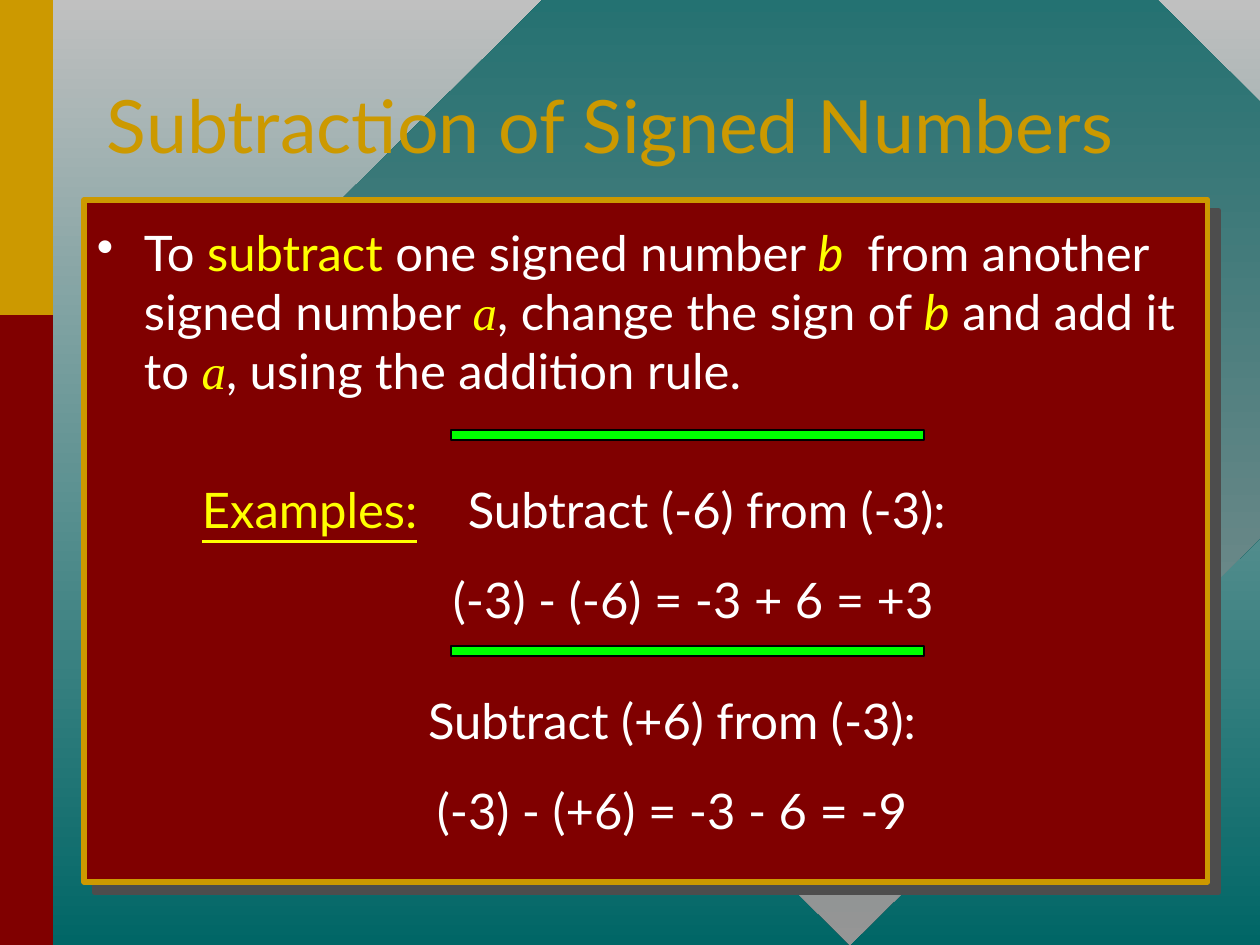
from lxml import etree
from pptx import Presentation
from pptx import util as u
from pptx.dml.color import RGBColor
from pptx.enum import shapes, text
from pptx.oxml.ns import qn

SCALE = 914400 / 126
SIZE = (1260, 945)

COLORS = {
    "silver": "C0C0C0", "teal": "006666", "gray": "969696", "maroon": "800000",
    "gold": "CC9900", "shadow": "4D4D4D", "white": "FFFFFF", "yellow": "FFFF00",
    "green": "00FF00", "black": "000000",
}
STYLES = {
    "title": {"name": "Lato", "size": u.Pt(42), "color": "gold"},
    "body": {"name": "Lato", "size": u.Pt(28), "color": "white"},
    "key": {"name": "Lato", "size": u.Pt(28), "color": "yellow"},
    "label": {"name": "Lato", "size": u.Pt(28), "color": "yellow", "underline": True},
    "var": {"name": "Lato", "size": u.Pt(28), "color": "yellow", "italic": True},
    "serif": {"name": "Times New Roman", "size": u.Pt(28), "color": "yellow", "italic": True},
}

DIAMOND = (220, -305, 1260, 1250)
SIDEBARS = [((0, 0, 53, 945), "maroon"), ((0, 0, 53, 315), "gold")]
PANEL = (84, 200, 1124, 682)
DIVIDERS = [(451, top, 473, 10) for top in (430, 646)]

TITLE = {
    "at": (94, 53, 1082, 157), "inset": (13, 6), "anchor": text.MSO_ANCHOR.MIDDLE,
    "paras": [{"spans": [("Subtraction of Signed Numbers", "title")],
               "format": {"line_spacing": 0.85}}],
}
BODY = [
    {"at": (84, 210, 1113, 202), "paras": [{
        "bullet": "•", "left": 47, "first": -47,
        "spans": [
            ("To ", "body"), ("subtract", "key"), (" one signed number ", "body"),
            ("b ", "var"), (" from another signed number ", "body"), ("a", "serif"),
            (", change the sign of ", "body"), ("b", "var"), (" and add it to ", "body"),
            ("a", "serif"), (", using the addition rule.", "body"),
        ]}]},
    {"at": (189, 467, 882, 174), "paras": [
        {"tab": 266, "spans": [("Examples:", "label"), ("\t", "body"),
                               ("Subtract (-6) from (-3):", "body")]},
        {"left": 251, "spans": [("(-3) - (-6) = -3 + 6 = +3", "body")],
         "format": {"space_before": u.Pt(17.5)}},
    ]},
    {"at": (357, 678, 630, 174), "paras": [
        {"spans": [("Subtract (+6) from (-3):", "body")],
         "format": {"alignment": text.PP_ALIGN.CENTER}},
        {"spans": [("(-3) - (+6) = -3 - 6 = -9", "body")],
         "format": {"alignment": text.PP_ALIGN.CENTER, "space_before": u.Pt(17.5)}},
    ]},
]


def px(value):
    return u.Emu(round(value * SCALE))


def rgb(name):
    return RGBColor.from_string(COLORS[name])


def add_xml(parent, tag, **attributes):
    return etree.SubElement(parent, qn(tag), {key: str(val) for key, val in attributes.items()})


def paint_gradient(fill, names):
    fill.gradient()
    fill.gradient_angle = 270
    for stop, name in zip(fill.gradient_stops, names):
        stop.color.rgb = rgb(name)


def add_block(page, at, color=None, line=None, kind=shapes.MSO_SHAPE.RECTANGLE):
    block = page.shapes.add_shape(kind, *map(px, at))
    block.shadow.inherit = False
    if color:
        block.fill.solid()
        block.fill.fore_color.rgb = rgb(color)
    if line:
        block.line.color.rgb = rgb(line[0])
        block.line.width = u.Pt(line[1])
    else:
        block.line.fill.background()
    return block


def add_shadow(block):
    effects = block._element.spPr.find(qn("a:effectLst"))
    shadow = add_xml(effects, "a:outerShdw", dist=u.Pt(8.5), dir=45 * 60000,
                     algn="ctr", rotWithShape=0)
    add_xml(shadow, "a:srgbClr", val=COLORS["shadow"])


def fill_para(para, content):
    props = para._p.get_or_add_pPr()
    for key, name in (("left", "marL"), ("first", "indent")):
        if key in content:
            props.set(name, str(px(content[key])))
    if "bullet" in content:
        add_xml(add_xml(props, "a:buClr"), "a:srgbClr", val=COLORS["white"])
        add_xml(props, "a:buChar", char=content["bullet"])
    if "tab" in content:
        add_xml(add_xml(props, "a:tabLst"), "a:tab", pos=px(content["tab"]), algn="l")
    for key, value in content.get("format", {}).items():
        setattr(para, key, value)
    for words, style in content["spans"]:
        span = para.add_run()
        span.text = words
        for key, value in STYLES[style].items():
            if key == "color":
                span.font.color.rgb = rgb(value)
            else:
                setattr(span.font, key, value)


def add_text(page, content):
    box = page.shapes.add_textbox(*map(px, content["at"]))
    frame = box.text_frame
    side, end = map(px, content.get("inset", (13, 13)))
    layout = {
        "word_wrap": True, "margin_left": side, "margin_right": side,
        "margin_top": end, "margin_bottom": end,
        "vertical_anchor": content.get("anchor", text.MSO_ANCHOR.TOP),
    }
    for key, value in layout.items():
        setattr(frame, key, value)
    for index, item in enumerate(content["paras"]):
        fill_para(frame.add_paragraph() if index else frame.paragraphs[0], item)


def main():
    deck = Presentation()
    deck.slide_width, deck.slide_height = map(px, SIZE)
    page = deck.slides.add_slide(deck.slide_layouts[6])
    paint_gradient(page.background.fill, ("silver", "teal"))
    diamond = add_block(page, DIAMOND, kind=shapes.MSO_SHAPE.DIAMOND)
    paint_gradient(diamond.fill, ("teal", "gray"))
    for at, color in SIDEBARS:
        add_block(page, at, color)
    add_text(page, TITLE)
    add_shadow(add_block(page, PANEL, "maroon", ("gold", 3)))
    for content in BODY:
        add_text(page, content)
    for at in DIVIDERS:
        add_block(page, at, "green", ("black", 0.75))
    deck.save("out.pptx")


if __name__ == "__main__":
    main()
